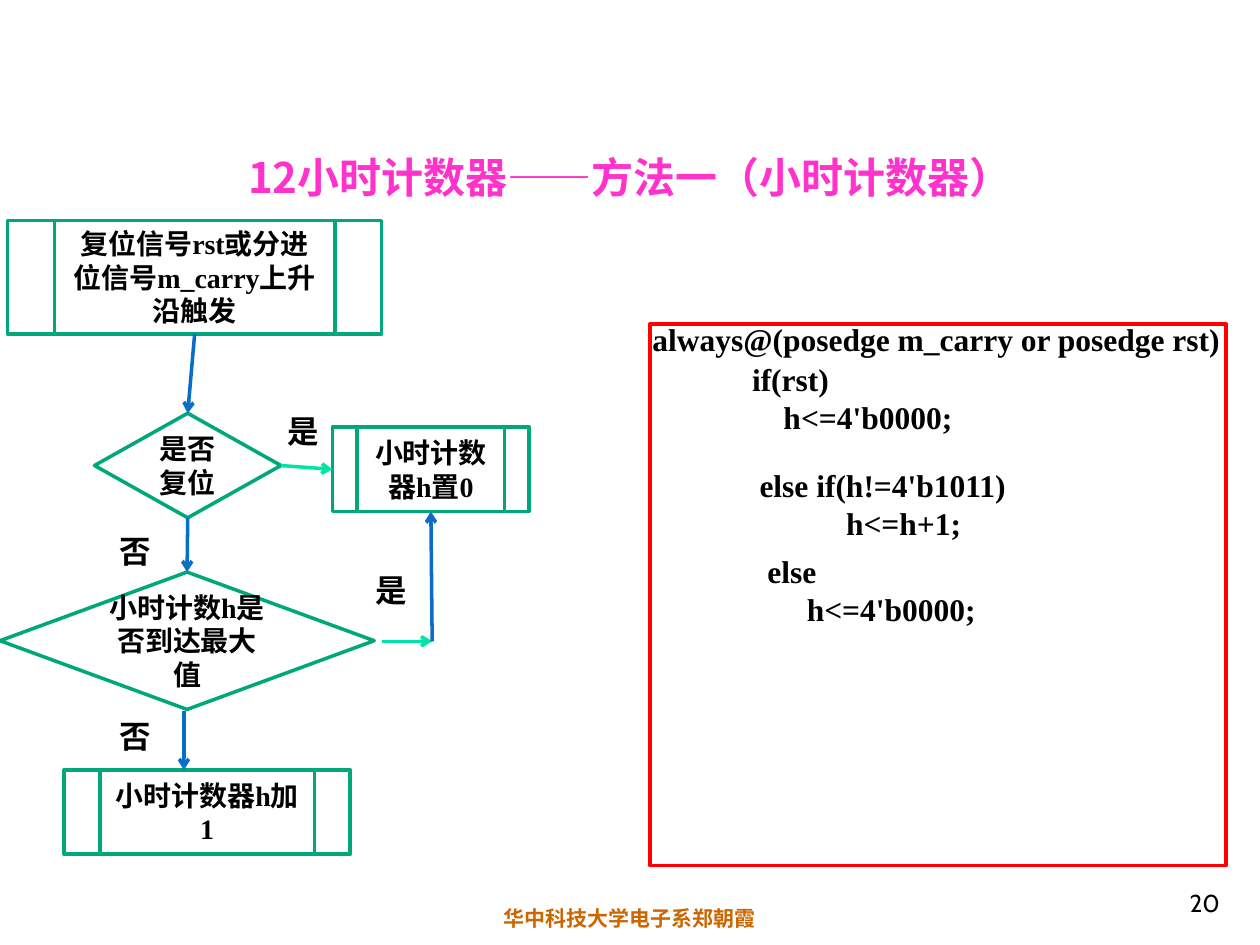
from pptx import Presentation
from pptx import util as u
from pptx.dml.color import RGBColor
from pptx.enum import shapes, text
from pptx.oxml.ns import qn
from lxml import etree

PX = 9144  # 100 px to the inch
BLACK = RGBColor(0x00, 0x00, 0x00)
PINK = RGBColor(0xFF, 0x33, 0xCC)
ORANGE = RGBColor(0xCC, 0x66, 0x00)
GREEN = RGBColor(0x00, 0xA7, 0x7A)
MINT = RGBColor(0x00, 0xE4, 0xA7)
BLUE = RGBColor(0x0A, 0x6D, 0xC6)
RED = RGBColor(0xFF, 0x00, 0x00)

SERIF, SANS, TITLE, NUMBER = "Times New Roman", "Arial", "Noto Sans CJK SC", "Cabin"
LEFT, CENTER, RIGHT = text.PP_ALIGN.LEFT, text.PP_ALIGN.CENTER, text.PP_ALIGN.RIGHT
PROCESS = shapes.MSO_SHAPE.FLOWCHART_PREDEFINED_PROCESS
DECISION = shapes.MSO_SHAPE.FLOWCHART_DECISION
RECTANGLE = shapes.MSO_SHAPE.RECTANGLE
TOP_SIDE, LEFT_SIDE, BOTTOM_SIDE, RIGHT_SIDE = range(4)


class FlowPage:
    """Style and current slide of the flow chart."""

    line_width = u.Pt(2)

    def __init__(self, deck):
        self.page = deck.slides.add_slide(deck.slide_layouts[6])

    def add_lines(self, frame, lines, size, font, color=BLACK, align=LEFT, bold=True):
        for index, line in enumerate(lines):
            para = frame.add_paragraph() if index else frame.paragraphs[0]
            para.alignment = align
            span = para.add_run()
            span.text = line
            span.font.size = u.Pt(size)
            span.font.name = font
            span.font.bold = bold
            span.font.color.rgb = color

    def label(self, area, lines, size, font, wrap=False, anchor=text.MSO_ANCHOR.TOP, **style):
        box = self.page.shapes.add_textbox(*(v * PX for v in area))
        frame = box.text_frame
        frame.word_wrap = wrap
        frame.vertical_anchor = anchor
        if not wrap:
            frame.auto_size = text.MSO_AUTO_SIZE.SHAPE_TO_FIT_TEXT
        self.add_lines(frame, lines, size, font, **style)

    def outline(self, kind, area, color=GREEN):
        shape = self.page.shapes.add_shape(kind, *(v * PX for v in area))
        shape.shadow.inherit = False
        shape.fill.background()
        shape.line.color.rgb = color
        shape.line.width = self.line_width
        return shape

    def step(self, kind, area, words):
        shape = self.outline(kind, area)
        shape.text_frame.word_wrap = True
        shape.text_frame.vertical_anchor = text.MSO_ANCHOR.MIDDLE
        self.add_lines(shape.text_frame, [words], 16, SERIF, align=CENTER)
        return shape

    def arrow(self, start, end, color=BLUE):
        """Each end is an (x, y) point or a (shape, side) pair to join."""
        joins = [not isinstance(place[0], int) for place in (start, end)]
        points = [(0, 0) if join else place for join, place in zip(joins, (start, end))]
        line = self.page.shapes.add_connector(
            shapes.MSO_CONNECTOR.STRAIGHT, *(v * PX for point in points for v in point))
        if joins[0]:
            line.begin_connect(*start)
        if joins[1]:
            line.end_connect(*end)
        line.line.color.rgb = color
        line.line.width = self.line_width
        etree.SubElement(line.get_or_add_ln(), qn("a:tailEnd"), type="arrow")
        etree.SubElement(line.element.spPr, qn("a:effectLst"))


def main():
    deck = Presentation()
    deck.slide_width, deck.slide_height = 1000 * PX, 750 * PX
    flow = FlowPage(deck)

    flow.label((0, 714, 1000, 30), ["华中科技大学电子系郑朝霞"], 12, SERIF,
               wrap=True, color=ORANGE, align=CENTER)
    flow.label((770, 683, 208, 50), ["20"], 14, NUMBER, wrap=True,
               anchor=text.MSO_ANCHOR.BOTTOM, align=RIGHT, bold=False)
    flow.label((0, 115, 1000, 50), ["12小时计数器——方法一（小时计数器）"], 24, TITLE,
               wrap=True, color=PINK, align=CENTER)

    trigger = flow.step(PROCESS, (6, 175, 297, 90), "复位信号rst或分进位信号m_carry上升沿触发")
    flow.step(PROCESS, (51, 611, 227, 67), "小时计数器h加1")
    clear = flow.step(PROCESS, (264, 339, 156, 67), "小时计数器h置0")
    reset = flow.step(DECISION, (75, 328, 148, 83), "是否复位")
    maximum = flow.step(DECISION, (0, 454, 297, 109), "小时计数h是否到达最大值")

    flow.arrow((trigger, BOTTOM_SIDE), (reset, TOP_SIDE))
    flow.arrow((reset, BOTTOM_SIDE), (maximum, TOP_SIDE))
    flow.arrow((146, 564), (146, 611))
    flow.arrow((reset, RIGHT_SIDE), (clear, LEFT_SIDE), MINT)
    flow.arrow((303, 509), (343, 509), MINT)
    flow.arrow((343, 509), (clear, BOTTOM_SIDE))

    code = [
        ((508, 249, 471, 40), ["always@(posedge m_carry or posedge rst)"]),
        ((587, 281, 179, 70), ["if(rst)", "    h<=4'b0000;"]),
        ((593, 365, 217, 70), ["else if(h!=4'b1011)", "           h<=h+1;"]),
        ((593, 433, 198, 70), [" else", "      h<=4'b0000;"]),
    ]
    for area, lines in code:
        flow.label(area, lines, 18, SERIF)

    for x, y, answer in [(218, 322, "是"), (288, 448, "是"), (85, 417, "否"), (85, 564, "否")]:
        flow.label((x, y, 45, 40), [answer], 18, SANS)

    flow.outline(RECTANGLE, (516, 257, 457, 430), RED)
    deck.save("out.pptx")


if __name__ == "__main__":
    main()
